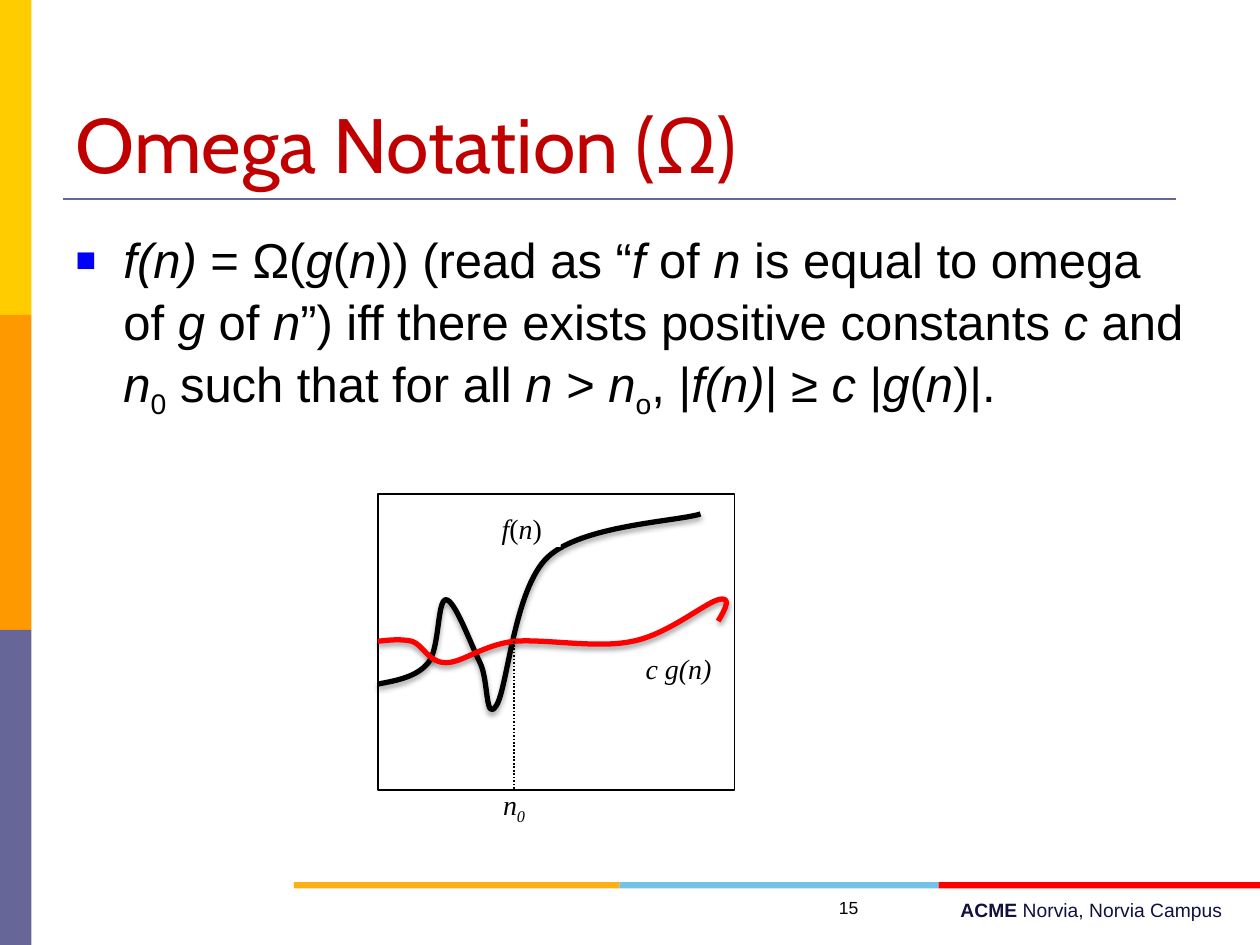
import pptx
import pptx.dml.color
import pptx.enum.dml
import pptx.enum.shapes
import pptx.enum.text
import pptx.oxml
import pptx.oxml.ns
import pptx.util

COLUMNS, ROWS = 40, 30
COLORS = {
    "yellow": "FFCC00", "orange": "FF9900", "violet": "666699",
    "amber": "FCB017", "sky": "76C2E5", "red": "FF0000",
    "title": "C00000", "footer": "101141", "bullet": "0000FF",
    "black": "000000", "white": "FFFFFF",
}
ALIGN = pptx.enum.text.PP_ALIGN
ANCHOR = pptx.enum.text.MSO_ANCHOR


def drawing_element(markup):
    """Parse one DrawingML element, adding its namespace declaration."""
    namespace = pptx.oxml.ns.nsdecls("a")
    name, rest = markup[1:].split(" ", 1)
    return pptx.oxml.parse_xml(f"<{name} {namespace} {rest}")


class SlideBuilder:
    """Holds the style and current slide; lengths are grid columns and rows."""

    def __init__(self, presentation):
        self.slide = presentation.slides.add_slide(presentation.slide_layouts[1])
        self.column = presentation.slide_width / COLUMNS
        self.row = presentation.slide_height / ROWS

    def emu(self, *lengths):
        """Turn alternating column and row values into slide units."""
        units = (self.column, self.row)
        return [round(length * units[i % 2]) for i, length in enumerate(lengths)]

    def color(self, name):
        return pptx.dml.color.RGBColor.from_string(COLORS[name])

    def set_line(self, line, color, width):
        line.color.rgb = self.color(color)
        line.width = pptx.util.Pt(width)

    def add_runs(self, paragraph, runs, size, color="black", font="Arial", align=ALIGN.LEFT):
        """Add (text, marks) runs; marks are b bold, i italic, s subscript."""
        paragraph.alignment = align
        for text, marks in runs:
            run = paragraph.add_run()
            run.text = text
            run.font.name = font
            run.font.size = pptx.util.Pt(size)
            run.font.color.rgb = self.color(color)
            run.font.bold = "b" in marks
            run.font.italic = "i" in marks
            if "s" in marks:
                run.font._element.set("baseline", "-25000")

    def placeholder(self, index, box, anchor):
        """Move a template placeholder and return its first paragraph."""
        shape = self.slide.placeholders[index]
        shape.left, shape.top, shape.width, shape.height = self.emu(*box)
        frame = shape.text_frame
        frame.auto_size = pptx.enum.text.MSO_AUTO_SIZE.NONE
        frame.vertical_anchor = anchor
        return frame.paragraphs[0]

    def title(self, box, runs):
        paragraph = self.placeholder(0, box, ANCHOR.BOTTOM)
        self.add_runs(paragraph, runs, 44, "title", "Cabin")

    def bullet(self, box, runs):
        paragraph = self.placeholder(1, box, ANCHOR.TOP)
        paragraph.space_before = pptx.util.Pt(0)
        paragraph.line_spacing = 1.05
        self.add_runs(paragraph, runs, 28)
        properties = paragraph._p.get_or_add_pPr()
        indent = pptx.util.Inches(0.38)
        properties.set("marL", str(indent))
        properties.set("indent", str(-indent))
        for markup in (
            f'<a:buClr ><a:srgbClr val="{COLORS["bullet"]}"/></a:buClr>',
            '<a:buSzPct val="70000"/>',
            '<a:buFont typeface="Arial"/>',
            '<a:buChar char="■"/>',
        ):
            properties.append(drawing_element(markup))

    def rectangle(self, box, fill, outline=None):
        kind = pptx.enum.shapes.MSO_SHAPE.RECTANGLE
        shape = self.slide.shapes.add_shape(kind, *self.emu(*box))
        shape.shadow.inherit = False
        shape.fill.solid()
        shape.fill.fore_color.rgb = self.color(fill)
        if outline:
            self.set_line(shape.line, outline, 1)
        else:
            shape.line.fill.background()
        return shape

    def label(self, box, runs):
        """Add a white plate with centred serif text."""
        frame = self.rectangle(box, "white").text_frame
        frame.margin_left = frame.margin_right = 0
        frame.margin_top = frame.margin_bottom = 0
        frame.word_wrap = True
        frame.vertical_anchor = ANCHOR.TOP
        self.add_runs(frame.paragraphs[0], runs, 16, font="Times New Roman", align=ALIGN.CENTER)

    def text(self, box, runs, size, color="black"):
        frame = self.slide.shapes.add_textbox(*self.emu(*box)).text_frame
        frame.word_wrap = True
        self.add_runs(frame.paragraphs[0], runs, size, color, align=ALIGN.RIGHT)

    def line(self, ends, color, width, dash=None):
        kind = pptx.enum.shapes.MSO_CONNECTOR.STRAIGHT
        connector = self.slide.shapes.add_connector(kind, *self.emu(*ends))
        self.set_line(connector.line, color, width)
        if dash:
            connector.line.dash_style = dash
        connector._element.spPr.append(drawing_element("<a:effectLst />"))

    def curve(self, points, color):
        """Draw a Bézier curve: a start, then two controls and an end per segment."""
        vertices = [self.emu(*point) for point in points]
        builder = self.slide.shapes.build_freeform(*vertices[0])
        builder.add_line_segments(vertices[1:], close=False)
        shape = builder.convert_to_shape()
        shape.fill.background()
        self.set_line(shape.line, color, 3)
        outline = shape._element.find(".//" + pptx.oxml.ns.qn("a:path"))
        steps = list(outline)[1:]
        for start in range(0, len(steps), 3):
            segment = drawing_element("<a:cubicBezTo />")
            for step in steps[start:start + 3]:
                segment.append(step[0])
                outline.remove(step)
            outline.append(segment)
        shape.shadow.inherit = False
        effects = shape._element.spPr.find(pptx.oxml.ns.qn("a:effectLst"))
        effects.append(drawing_element(
            f'<a:outerShdw blurRad="{pptx.util.Pt(3.1)}" dist="{pptx.util.Pt(1.8)}" '
            f'dir="5400000" rotWithShape="0"><a:srgbClr val="{COLORS["black"]}">'
            '<a:alpha val="35000"/></a:srgbClr></a:outerShdw>'))


DEFINITION = [
    ("f(n)", "i"), (" = Ω(", ""), ("g", "i"), ("(", ""), ("n", "i"),
    (")) (read as “", ""), ("f", "i"), (" of ", ""), ("n", "i"),
    (" is equal to omega of ", ""), ("g", "i"), (" of ", ""), ("n", "i"),
    ("”) iff there exists positive constants ", ""), ("c", "i"), (" and ", ""),
    ("n", "i"), ("0", "s"), (" such that for all ", ""), ("n", "i"), (" > ", ""),
    ("n", "i"), ("o", "s"), (", |", ""), ("f(n)", "i"), ("| ≥ ", ""), ("c", "i"),
    (" |", ""), ("g", "i"), ("(", ""), ("n", "i"), (")|.", ""),
]
F_CURVE = [
    (12, 21.72), (12.64, 21.6), (13.24, 21.48), (13.6, 21.04),
    (13.96, 20.6), (13.88, 19.04), (14.16, 19.04),
    (14.44, 19.04), (14.96, 20.48), (15.24, 21.04),
    (15.52, 21.6), (15.4, 22.96), (15.76, 22.4),
    (16.12, 21.84), (16.32, 18.68), (17.4, 17.68),
    (18.48, 16.68), (21.44, 16.56), (22.24, 16.32),
]
G_CURVE = [
    (12, 20.36), (12.36, 20.32), (12.72, 20.28), (13.08, 20.36),
    (13.44, 20.48), (13.6, 21.04), (14.16, 21.04),
    (14.68, 21.04), (15.32, 20.48), (16.32, 20.36),
    (17.32, 20.28), (19, 20.6), (20.08, 20.36),
    (21.16, 20.16), (22.36, 19.16), (22.8, 19.04),
    (23.24, 18.92), (23.04, 19.32), (22.8, 19.72),
]


def main():
    presentation = pptx.Presentation()
    presentation.slide_width = pptx.util.Inches(10)
    presentation.slide_height = pptx.util.Inches(7.5)
    builder = SlideBuilder(presentation)

    for index, color in enumerate(("yellow", "orange", "violet")):
        builder.rectangle((0, index * 10, 1, 10), color)
    builder.line((2, 6.32, 37.32, 6.32), "violet", 1.5)
    edges = (9.33, 19.67, 29.8, COLUMNS)
    for left, right, color in zip(edges, edges[1:], ("amber", "sky", "red")):
        builder.rectangle((left, 28, right - left, 0.2), color)
    builder.text((13.52, 28.32, 25.68, 1.16),
                 [("ACME ", "b"), ("Norvia, Norvia Campus", "")], 11, "footer")

    builder.title((2, 1.2, 36, 5), [("Omega Notation (Ω)", "")])
    builder.bullet((2, 7, 36, 19.8), DEFINITION)

    builder.label((15.32, 25, 2, 1.36), [("n", "i"), ("0", "is")])
    builder.rectangle((12, 15.68, 11.32, 9.4), "white", "black")
    builder.curve(F_CURVE, "black")
    builder.curve(G_CURVE, "red")
    builder.line((16.32, 20.36, 16.32, 25.08), "black", 1,
                 pptx.enum.dml.MSO_LINE.ROUND_DOT)
    builder.label((20.32, 20.68, 2.44, 1.12), [("c g(n)", "i")])
    builder.label((15.32, 16.24, 2.48, 1.12),
                  [("f", "i"), ("(", ""), ("n", "i"), (")", "")])
    builder.text((18.32, 28.28, 9.32, 2), [("15", "")], 10)

    presentation.save("out.pptx")


if __name__ == "__main__":
    main()
